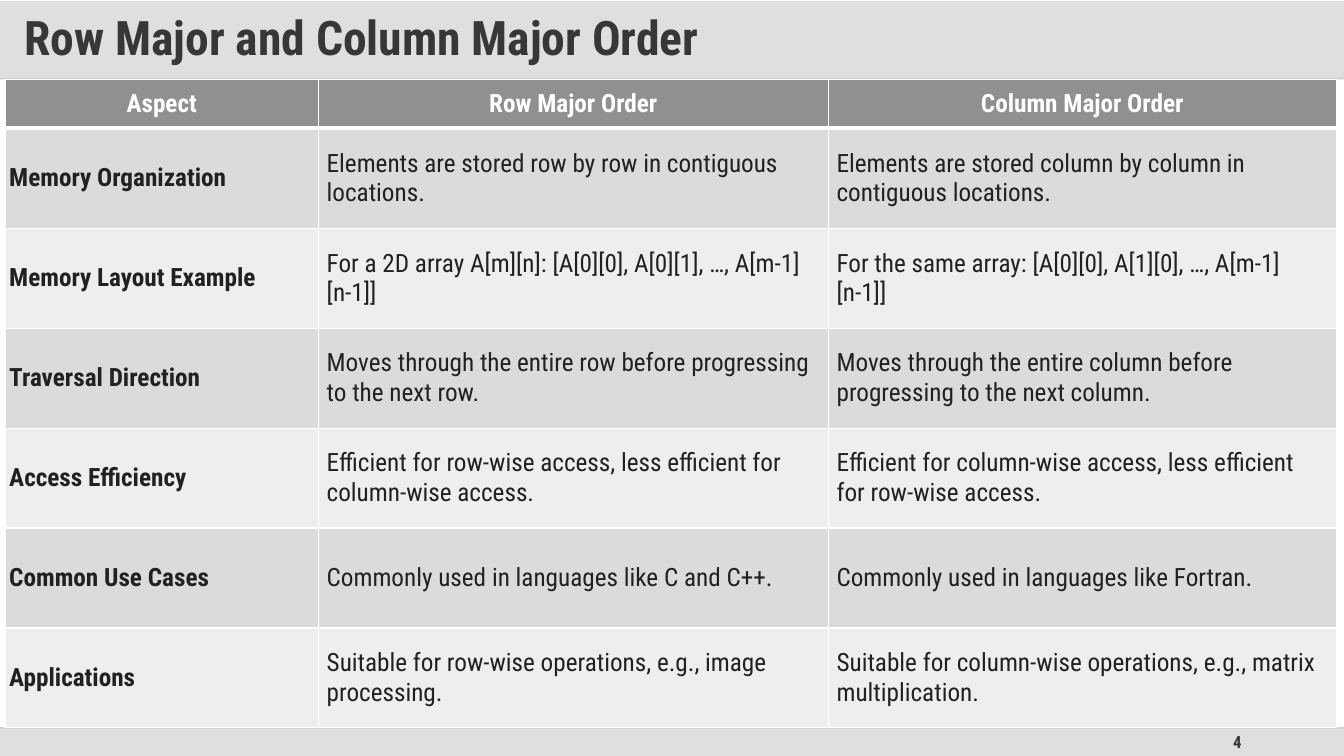
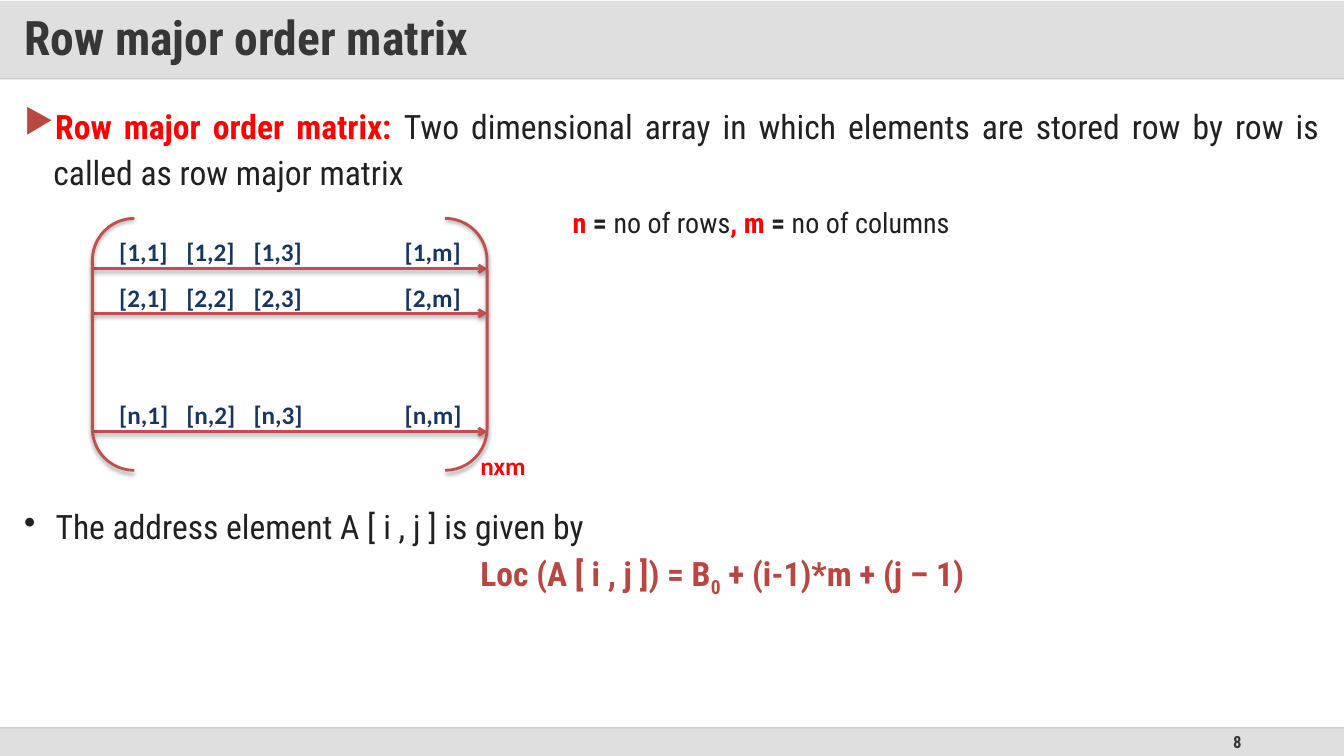
"""Build two slides about row major and column major order on a 160 by 90 grid."""
from lxml import etree
from pptx import Presentation
from pptx.dml.color import RGBColor
from pptx.enum.shapes import MSO_CONNECTOR, MSO_SHAPE
from pptx.enum.text import MSO_ANCHOR, MSO_AUTO_SIZE, PP_ALIGN
from pptx.oxml.ns import qn
from pptx.util import Pt

LEFT, CENTER, RIGHT, JUSTIFY = PP_ALIGN.LEFT, PP_ALIGN.CENTER, PP_ALIGN.RIGHT, PP_ALIGN.JUSTIFY
MIDDLE = MSO_ANCHOR.MIDDLE
STRAIGHT = MSO_CONNECTOR.STRAIGHT

COLUMNS, ROWS = 160, 90
UNIT = 6
TITLE_TOP, TITLE_HEIGHT = 0.12, 9.36
FOOTER_TOP = 86.64
BODY_LEFT, BODY_WIDTH = 1.68, 156.6

CONDENSED, CALIBRI = "Roboto Condensed", "Calibri"
WHITE, GREY, DARK, INK = "FFFFFF", "DFDFDF", "373737", "212121"
RED, BRICK, MATRIX_RED, NAVY = "FF0000", "B84742", "C0504D", "17375E"


def paint(fill, color, alpha=None):
    """Give a fill a solid colour, with an opacity in percent if needed."""
    fill.solid()
    fill.fore_color.rgb = RGBColor.from_string(color)
    if alpha:
        rgb = fill._xPr.find(".//" + qn("a:srgbClr"))
        etree.SubElement(rgb, qn("a:alpha")).set("val", str(alpha * 1000))


def write(text_frame, paragraphs, size, family=CONDENSED, align=LEFT):
    """Fill a text frame with paragraphs, each a list of (text, colour, bold) runs."""
    text_frame.word_wrap = True
    for index, runs in enumerate(paragraphs):
        paragraph = text_frame.add_paragraph() if index else text_frame.paragraphs[0]
        paragraph.alignment = align
        for text, color, bold in runs:
            run = paragraph.add_run()
            run.text = text
            run.font.size, run.font.name, run.font.bold = Pt(size), family, bold
            paint(run.font.fill, color)


presentation = Presentation()
presentation.slide_width, presentation.slide_height = Pt(COLUMNS * UNIT), Pt(ROWS * UNIT)
layout = presentation.slide_layouts[5]

slides = []
for title_text, number in (("Row Major and Column Major Order", "4"), ("Row major order matrix", "8")):
    slide = presentation.slides.add_slide(layout)
    slides.append(slide)
    title = slide.shapes.title
    title.left, title.top = Pt(0), Pt(TITLE_TOP * UNIT)
    title.width, title.height = Pt(COLUMNS * UNIT), Pt(TITLE_HEIGHT * UNIT)
    paint(title.fill, "C0C0C0", 50)
    frame = title.text_frame
    frame.auto_size = MSO_AUTO_SIZE.NONE
    frame.vertical_anchor = MIDDLE
    frame.margin_left = frame.margin_right = Pt(2.9 * UNIT)
    frame.margin_top = frame.margin_bottom = Pt(1.5 * UNIT)
    write(frame, [[(title_text, DARK, True)]], 34)
    frame.paragraphs[0].line_spacing = 0.9

    number_box = slide.shapes.add_textbox(
        *[Pt(value * UNIT) for value in (113, FOOTER_TOP, 36, ROWS - FOOTER_TOP)])
    number_box.text_frame.vertical_anchor = MIDDLE
    write(number_box.text_frame, [[(number, DARK, True)]], 12, align=RIGHT)

comparison, matrix = slides

footer = comparison.shapes.add_shape(
    MSO_SHAPE.RECTANGLE, *[Pt(value * UNIT) for value in (0, FOOTER_TOP, COLUMNS, ROWS - FOOTER_TOP)])
footer.shadow.inherit = False
footer.line.fill.background()
paint(footer.fill, GREY)
layout.shapes._spTree.append(footer._element)
for top, color, alpha in ((TITLE_HEIGHT, "D9D9D9", None), (FOOTER_TOP, "BFBFBF", 70)):
    rule = comparison.shapes.add_connector(
        STRAIGHT, *[Pt(value * UNIT) for value in (0, top, COLUMNS, top)])
    rule.line.width = Pt(1)
    paint(rule.line.fill, color, alpha)
    etree.SubElement(rule._element.spPr, qn("a:effectLst"))
    layout.shapes._spTree.append(rule._element)

aspects = [
    ("Aspect", "Row Major Order", "Column Major Order"),
    ("Memory Organization",
     "Elements are stored row by row in contiguous locations.",
     "Elements are stored column by column in contiguous locations."),
    ("Memory Layout Example",
     "For a 2D array A[m][n]: [A[0][0], A[0][1], …, A[m-1][n-1]]",
     "For the same array: [A[0][0], A[1][0], …, A[m-1][n-1]]"),
    ("Traversal Direction",
     "Moves through the entire row before progressing to the next row.",
     "Moves through the entire column before progressing to the next column."),
    ("Access Efficiency",
     "Efficient for row-wise access, less efficient for column-wise access.",
     "Efficient for column-wise access, less efficient for row-wise access."),
    ("Common Use Cases",
     "Commonly used in languages like C and C++.",
     "Commonly used in languages like Fortran."),
    ("Applications",
     "Suitable for row-wise operations, e.g., image processing.",
     "Suitable for column-wise operations, e.g., matrix multiplication."),
]
column_widths = (37.3, 60.7, 60.5)
header_height, row_height = 5.8, 11.9
table_height = header_height + row_height * (len(aspects) - 1)
table = comparison.shapes.add_table(
    len(aspects), len(column_widths),
    *[Pt(value * UNIT) for value in (0.6, TITLE_TOP + TITLE_HEIGHT, sum(column_widths), table_height)]).table
for column, width in zip(table.columns, column_widths):
    column.width = Pt(width * UNIT)
for row_index, texts in enumerate(aspects):
    is_header = row_index == 0
    table.rows[row_index].height = Pt((header_height if is_header else row_height) * UNIT)
    row_color = "909090" if is_header else ("EEEEEE", "DBDBDB")[row_index % 2]
    for column_index, text in enumerate(texts):
        is_label = column_index == 0
        cell = table.cell(row_index, column_index)
        cell.vertical_anchor = MIDDLE
        cell.margin_left = cell.margin_right = Pt((0.5 if is_label else 1) * UNIT)
        cell.margin_top = cell.margin_bottom = Pt((1 if is_header else 0.5 if is_label else 1.5) * UNIT)
        for side in ("lnL", "lnR", "lnT", "lnB"):
            thick = (row_index, side) in ((0, "lnB"), (1, "lnT"))
            border = etree.SubElement(cell._tc.get_or_add_tcPr(), qn("a:" + side))
            border.set("w", str(Pt(3 if thick else 1)))
            border_fill = etree.SubElement(border, qn("a:solidFill"))
            etree.SubElement(border_fill, qn("a:srgbClr")).set("val", WHITE)
        paint(cell.fill, row_color)
        write(cell.text_frame, [[(text, WHITE if is_header else INK, is_header or is_label)]],
              18, align=CENTER if is_header else LEFT)

definition = [[
    ("Row major order matrix: ", RED, True),
    ("Two dimensional array in which elements are stored row by row is called as row major matrix", INK, False)]]
address = [
    [("The address element A [ i , j ] is given by", INK, False)],
    [("Loc (A [ i , j ]) = B", BRICK, True), ("0", BRICK, True), (" + (i-1)*m + (j – 1)", BRICK, True)]]
legend = [[
    ("n ", RED, True), ("= ", INK, True), ("no of rows", INK, False),
    (", m ", RED, True), ("= ", INK, True), ("no of columns", INK, False)]]

text_boxes = [
    ((BODY_LEFT, 11.3, BODY_WIDTH, 12), definition, 24, CONDENSED, JUSTIFY),
    ((BODY_LEFT, 59, BODY_WIDTH, 12.2), address, 24, CONDENSED, LEFT),
    ((67, 23.9, 72, 5.3), legend, 20, CONDENSED, LEFT),
    ((56, 53, 8, 4.8), [[("nxm", RED, True)]], 18, CALIBRI, LEFT),
]
for row_name, top in (("1", 27.5), ("2", 33), ("n", 47)):
    for column_name, left, width in (("1", 13, 9), ("2", 21, 9), ("3", 29, 9), ("m", 47, 11)):
        entry = [[(f"[{row_name},{column_name}]", NAVY, True)]]
        text_boxes.append(((left, top, width, 4.8), entry, 18, CALIBRI, LEFT))

frames = []
for box, paragraphs, size, family, align in text_boxes:
    text_box = matrix.shapes.add_textbox(*[Pt(value * UNIT) for value in box])
    write(text_box.text_frame, paragraphs, size, family, align)
    frames.append(text_box.text_frame)

definition_line = frames[0].paragraphs[0]
address_line, formula_line = frames[1].paragraphs
for paragraph, indent, bullet, bullet_color in (
        (definition_line, 3.5, "▶", BRICK), (address_line, 3.75, "•", INK)):
    properties = paragraph._p.get_or_add_pPr()
    properties.set("marL", str(Pt(indent * UNIT)))
    properties.set("indent", str(-Pt(indent * UNIT)))
    bullet_fill = etree.SubElement(properties, qn("a:buClr"))
    etree.SubElement(bullet_fill, qn("a:srgbClr")).set("val", bullet_color)
    etree.SubElement(properties, qn("a:buChar")).set("char", bullet)
for paragraph in (definition_line, address_line, formula_line):
    paragraph.line_spacing = 1.14
formula_line.alignment = CENTER
formula_line._p.get_or_add_pPr().set("marL", str(Pt(12 * UNIT)))
formula_line.runs[1].font._element.set("baseline", "-25000")

matrix_lines = []
for top in (32, 37.3, 51.4):
    arrow = matrix.shapes.add_connector(STRAIGHT, *[Pt(value * UNIT) for value in (11, top, 58, top)])
    matrix_lines.append(arrow)
brackets = matrix.shapes.add_shape(
    MSO_SHAPE.DOUBLE_BRACKET, *[Pt(value * UNIT) for value in (11, 26, 47, 30)])
brackets.fill.background()
for shape in (*matrix_lines, brackets):
    shape.line.width = Pt(2)
    paint(shape.line.fill, MATRIX_RED)
    if shape is not brackets:
        etree.SubElement(shape.line._get_or_add_ln(), qn("a:tailEnd")).set("type", "arrow")
    effects = etree.SubElement(shape._element.spPr, qn("a:effectLst"))
    shadow = etree.SubElement(effects, qn("a:outerShdw"), blurRad=str(Pt(3.1)), dist=str(Pt(1.6)),
                              dir="5400000", rotWithShape="0")
    shadow_color = etree.SubElement(shadow, qn("a:srgbClr"), val="000000")
    etree.SubElement(shadow_color, qn("a:alpha"), val="38000")

presentation.save("out.pptx")
